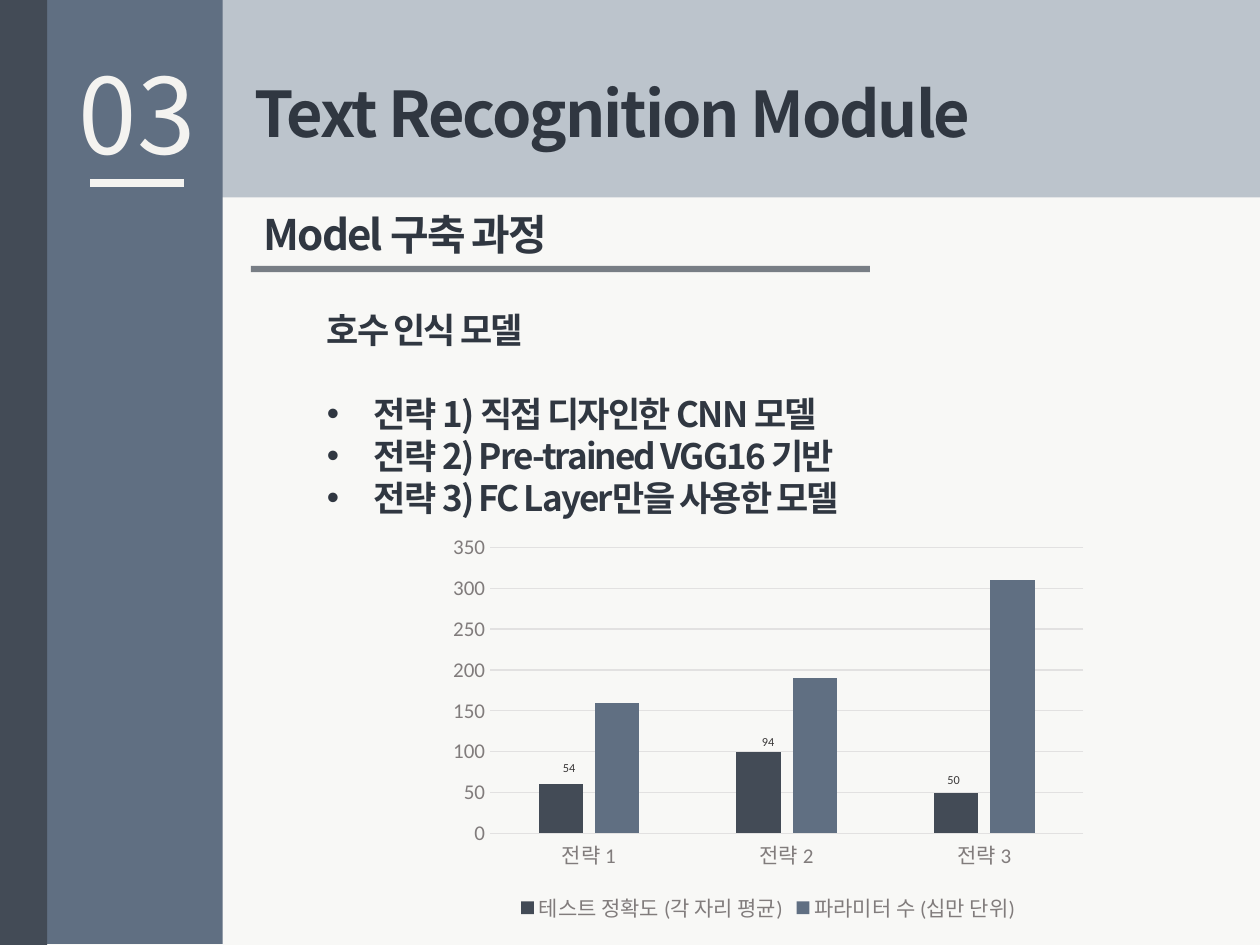
from lxml.etree import SubElement
from pptx import Presentation
from pptx.chart.data import CategoryChartData
from pptx.dml.color import RGBColor
from pptx.enum.chart import XL_CHART_TYPE as ChartType, XL_LEGEND_POSITION as LegendPosition, XL_TICK_MARK as TickMark
from pptx.enum.shapes import MSO_CONNECTOR as Connector, MSO_SHAPE as Shape
from pptx.enum.text import MSO_AUTO_SIZE as AutoSize
from pptx.oxml.ns import qn
from pptx.util import Cm, Pt

PAPER = RGBColor(0xF8, 0xF8, 0xF6)
MIST = RGBColor(0x95, 0xA2, 0xB1)
SLATE = RGBColor(0x60, 0x6F, 0x82)
CHARCOAL = RGBColor(0x43, 0x4B, 0x56)
IVORY = RGBColor(0xF4, 0xF3, 0xF0)
INK = RGBColor(0x30, 0x37, 0x41)
LABEL = RGBColor(0x3A, 0x38, 0x38)
AXIS_TEXT = RGBColor(0x81, 0x7C, 0x7C)
GRID = RGBColor(0xE2, 0xE1, 0xE1)
KOREAN = "Noto Sans CJK KR"
LATIN = "Calibri"

NUMBER = "03"
TITLE = "Text Recognition Module"
SUBTITLE = "Model 구축 과정"
TOPIC = "호수 인식 모델"
STRATEGIES = [
    "전략 1) 직접 디자인한 CNN 모델",
    "전략 2) Pre-trained VGG16 기반",
    "전략 3) FC Layer만을 사용한 모델",
]
CATEGORIES = ["전략 1", "전략 2", "전략 3"]
SERIES = [
    ("테스트 정확도 (각 자리 평균)", (60, 100, 50), CHARCOAL),
    ("파라미터 수 (십만 단위)", (160, 190, 310), SLATE),
]
ACCURACY_LABELS = [("54", 11.1, 15.21), ("94", 15.11, 14.68), ("50", 18.85, 15.45)]


def add_block(slide, box, color, opacity=100):
    shape = slide.shapes.add_shape(Shape.RECTANGLE, *map(Cm, box))
    shape.shadow.inherit = False
    shape.fill.solid()
    shape.fill.fore_color.rgb = color
    shape.line.fill.background()
    if opacity < 100:
        color_element = shape._element.spPr.find(qn("a:solidFill"))[0]
        SubElement(color_element, qn("a:alpha"), val=str(opacity * 1000))


def add_line(slide, start, end, color, width):
    line = slide.shapes.add_connector(Connector.STRAIGHT, *map(Cm, start + end))
    line.line.color.rgb = color
    line.line.width = Pt(width)
    SubElement(line._element.spPr, qn("a:effectLst"))


def add_bullet(paragraph):
    properties = paragraph._p.get_or_add_pPr()
    properties.set("marL", str(Cm(0.95)))
    properties.set("indent", str(-Cm(0.95)))
    SubElement(properties, qn("a:buFont"), typeface="Arial")
    SubElement(properties, qn("a:buChar"), char="•")


def add_text(slide, lines, box, size, color=INK, font=KOREAN, bold=False,
             spacing=0, wrap=True, bullets_from=None, gap=0):
    frame = slide.shapes.add_textbox(*map(Cm, box)).text_frame
    frame.word_wrap = wrap
    frame.auto_size = AutoSize.SHAPE_TO_FIT_TEXT
    for index, line in enumerate(lines):
        paragraph = frame.paragraphs[0] if index == 0 else frame.add_paragraph()
        if bullets_from is not None and index >= bullets_from:
            if index == bullets_from:
                paragraph.space_before = Pt(gap)
            add_bullet(paragraph)
        run = paragraph.add_run()
        run.text = line
        run.font.size = Pt(size)
        run.font.bold = bold
        run.font.color.rgb = color
        run.font.name = font
        properties = run._r.get_or_add_rPr()
        SubElement(properties, qn("a:ea"), typeface=font)
        if spacing:
            properties.set("spc", str(round(spacing * 100)))


def format_font(font, size, color):
    font.size = Pt(size)
    font.name = LATIN
    font.color.rgb = color


def add_strategy_chart(slide, box):
    data = CategoryChartData()
    data.categories = CATEGORIES
    for name, values, _ in SERIES:
        data.add_series(name, values)
    chart = slide.shapes.add_chart(ChartType.COLUMN_CLUSTERED, *map(Cm, box), data).chart
    format_font(chart.font, 10, LABEL)
    chart.has_title = False
    chart.has_legend = True
    chart.legend.position = LegendPosition.BOTTOM
    chart.legend.include_in_layout = False
    format_font(chart.legend.font, 12, AXIS_TEXT)

    for axis in (chart.category_axis, chart.value_axis):
        axis.major_tick_mark = axis.minor_tick_mark = TickMark.NONE
        format_font(axis.tick_labels.font, 12, AXIS_TEXT)
    chart.value_axis.format.line.fill.background()
    chart.value_axis.minimum_scale = 0
    chart.value_axis.maximum_scale = 350
    chart.value_axis.major_unit = 50
    for line in (chart.category_axis.format.line, chart.value_axis.major_gridlines.format.line):
        line.color.rgb = GRID
        line.width = Pt(0.75)

    plot = chart.plots[0]
    plot.vary_by_categories = False
    plot.gap_width = 219
    plot.overlap = -27
    for series, (_, _, color) in zip(plot.series, SERIES):
        series.format.fill.solid()
        series.format.fill.fore_color.rgb = color


def main():
    presentation = Presentation()
    presentation.slide_width = Cm(25.4)
    presentation.slide_height = Cm(19.05)
    slide = presentation.slides.add_slide(presentation.slide_layouts[6])
    slide.background.fill.solid()
    slide.background.fill.fore_color.rgb = PAPER

    add_block(slide, (0, 0, 25.43, 3.98), MIST, opacity=60)
    add_block(slide, (0, 0, 4.49, 19.03), SLATE)
    add_text(slide, [NUMBER], (1.34, 0.88, 2.87, 2.82), 60, color=IVORY, wrap=False)
    add_line(slide, (1.82, 3.69), (3.71, 3.69), IVORY, 4.5)
    add_text(slide, [TITLE], (4.88, 1.37, 17.93, 1.8), 36, bold=True, spacing=-1.15)
    add_block(slide, (0, 0, 0.95, 19.05), CHARCOAL)
    add_text(slide, [SUBTITLE], (5.07, 4.07, 16.81, 1.27), 24, bold=True, spacing=-1.1)
    add_block(slide, (5.06, 5.36, 12.48, 0.13), CHARCOAL, opacity=70)
    add_text(slide, [TOPIC] + STRATEGIES, (6.34, 6.1, 16.69, 4.52), 20,
             bold=True, spacing=-1.1, bullets_from=1, gap=24)
    add_strategy_chart(slide, (8.87, 10.62, 13.23, 8.1))
    for value, left, top in ACCURACY_LABELS:
        add_text(slide, [value], (left, top, 0.76, 0.56), 7, color=LABEL, font=LATIN, wrap=False)

    presentation.save("out.pptx")


if __name__ == "__main__":
    main()
